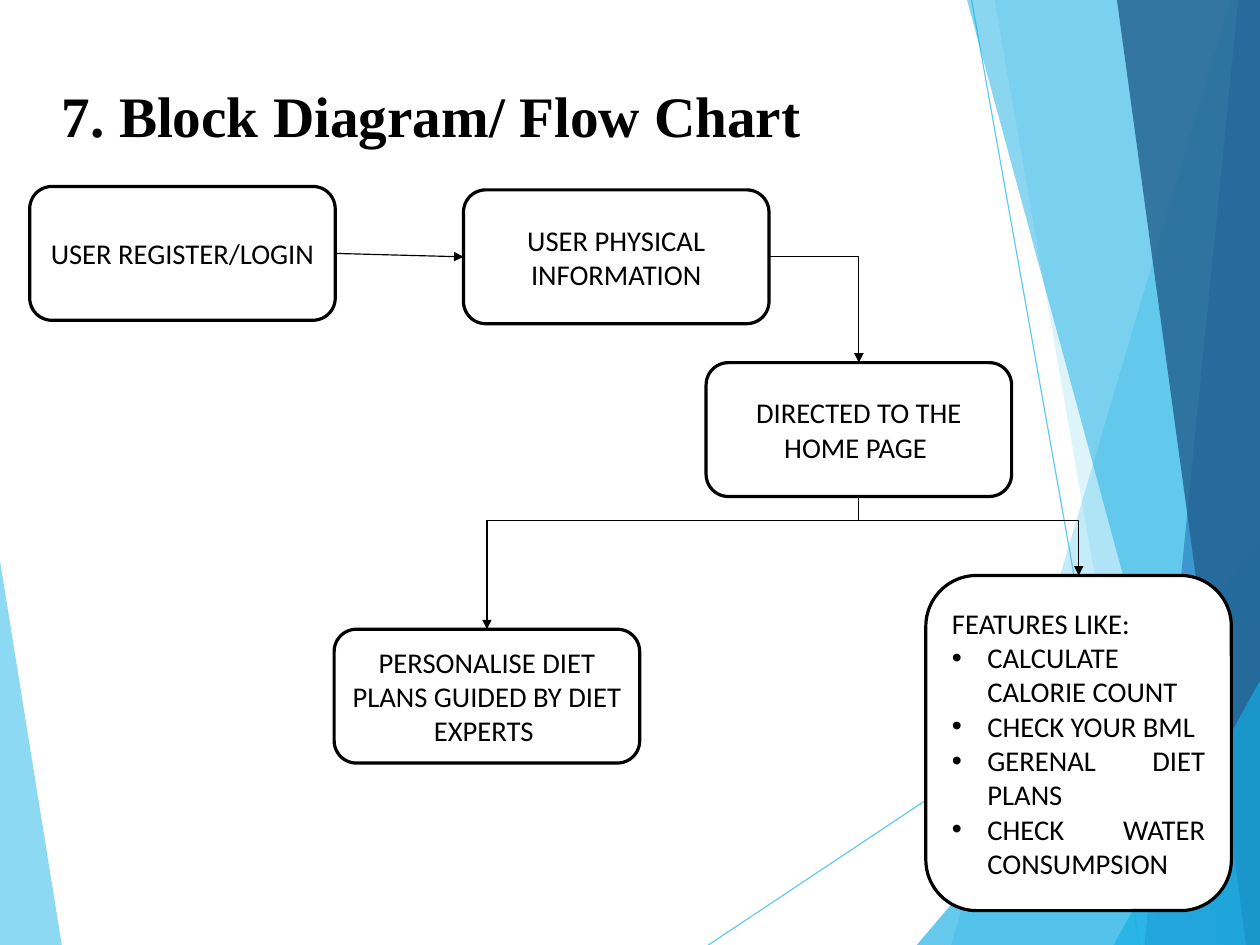
from lxml import etree
from pptx import Presentation
from pptx.dml.color import RGBColor
from pptx.enum.shapes import MSO_CONNECTOR, MSO_SHAPE
from pptx.enum.text import MSO_ANCHOR, PP_ALIGN
from pptx.oxml.ns import qn
from pptx.util import Inches, Pt

STRAIGHT, ELBOW = MSO_CONNECTOR.STRAIGHT, MSO_CONNECTOR.ELBOW
ROUNDED = MSO_SHAPE.ROUNDED_RECTANGLE
TOP, MIDDLE = MSO_ANCHOR.TOP, MSO_ANCHOR.MIDDLE
LEFT, CENTER, JUSTIFY = PP_ALIGN.LEFT, PP_ALIGN.CENTER, PP_ALIGN.JUSTIFY

BLACK = RGBColor(0x00, 0x00, 0x00)
WHITE = RGBColor(0xFF, 0xFF, 0xFF)
SKY = RGBColor(0x5E, 0xCA, 0xEF)
CYAN = RGBColor(0x17, 0xAF, 0xE4)
BLUE = RGBColor(0x2D, 0x83, 0xC3)
NAVY = RGBColor(0x23, 0x62, 0x91)

W, H = 11.01, 8.26
BOX_W, BOX_H = 2.67, 1.17
FORK_Y = 4.55

TITLE = "7. Block Diagram/ Flow Chart"
FACETS_BELOW_RAYS = [
    (SKY, 70, [(0.54, H), (0, H), (0, 4.9)]),
]
RAYS = [((6.19, H), (W, 5.05)), ((8.49, 0), (9.96, H))]
FACETS_ABOVE_RAYS = [
    (SKY, 36, [(W, H), (8.31, H), (10.75, 0), (W, 0)]),
    (SKY, 20, [(W, H), (10.13, H), (8.69, 0), (W, 0)]),
    (CYAN, 65, [(W, H), (8.01, H), (W, 4.74)]),
    (CYAN, 50, [(W, H), (10.69, H), (8.45, 0), (W, 0)]),
    (BLUE, 70, [(W, H), (10, H), (10.82, 0), (W, 0)]),
    (NAVY, 82, [(W, H), (10.89, H), (9.76, 0), (W, 0)]),
    (CYAN, 65, [(W, H), (9.73, H), (W, 5.95)]),
]
STEPS = {
    "login": (0.26, 1.63, BOX_H, ["USER REGISTER/LOGIN"]),
    "diet plans": (2.92, 5.5, BOX_H, ["PERSONALISE DIET PLANS GUIDED BY DIET EXPERTS "]),
    "features": (8.09, 5.03, 2.93, [
        "FEATURES LIKE:",
        "CALCULATE CALORIE COUNT",
        "CHECK YOUR BML",
        "GERENAL DIET PLANS",
        "CHECK WATER CONSUMPSION ",
    ]),
    "home": (6.17, 3.17, BOX_H, ["DIRECTED TO THE HOME PAGE "]),
    "physical": (4.05, 1.66, BOX_H, ["USER PHYSICAL INFORMATION"]),
}


def add_facet(slide, color, opacity, points):
    corners = [(Inches(x), Inches(y)) for x, y in points]
    builder = slide.shapes.build_freeform(*corners[0])
    builder.add_line_segments(corners[1:], close=True)
    facet = builder.convert_to_shape()
    facet.shadow.inherit = False
    facet.fill.solid()
    facet.fill.fore_color.rgb = color
    facet.line.fill.background()
    tint = facet._element.spPr.find(qn("a:solidFill"))[0]
    etree.SubElement(tint, qn("a:alpha")).set("val", str(opacity * 1000))


def add_line(slide, start, end, color=BLACK, kind=STRAIGHT, arrow=False):
    line = slide.shapes.add_connector(kind, *[Inches(v) for v in (*start, *end)])
    line.line.color.rgb = color
    line.line.width = Pt(0.75)
    properties = line._element.spPr
    if kind == ELBOW:
        properties.find(qn("a:prstGeom")).set("prst", "bentConnector2")
    if arrow:
        etree.SubElement(properties.find(qn("a:ln")), qn("a:tailEnd")).set("type", "triangle")
    etree.SubElement(properties, qn("a:effectLst"))
    return line


def add_bullet(paragraph):
    properties = paragraph._p.get_or_add_pPr()
    properties.set("marL", str(Inches(0.31)))
    properties.set("indent", str(-Inches(0.31)))
    etree.SubElement(properties, qn("a:buFont")).set("typeface", "Arial")
    etree.SubElement(properties, qn("a:buChar")).set("char", "•")


def add_step(slide, left, top, height, lines):
    step = slide.shapes.add_shape(
        ROUNDED, Inches(left), Inches(top), Inches(BOX_W), Inches(height))
    step.shadow.inherit = False
    step.fill.solid()
    step.fill.fore_color.rgb = WHITE
    step.line.color.rgb = BLACK
    step.line.width = Pt(2)
    frame = step.text_frame
    frame.word_wrap = True
    frame.vertical_anchor = MIDDLE
    frame.text = "\n".join(lines)
    for number, paragraph in enumerate(frame.paragraphs):
        paragraph.alignment = JUSTIFY if len(lines) > 1 else CENTER
        font = paragraph.runs[0].font
        font.name, font.size, font.color.rgb = "Calibri", Pt(18), BLACK
        if number:
            add_bullet(paragraph)
    return step


def add_title(slide):
    title = slide.shapes.title
    title.left, title.top = Inches(0.54), Inches(0.69)
    title.width, title.height = Inches(6.48), Inches(0.63)
    frame = title.text_frame
    frame.text = TITLE
    frame.word_wrap = True
    frame.vertical_anchor = TOP
    frame.margin_left = frame.margin_right = frame.margin_bottom = 0
    frame.margin_top = Inches(0.01)
    heading = frame.paragraphs[0]
    heading.alignment = LEFT
    heading.space_before = Pt(1)
    font = heading.runs[0].font
    font.name, font.size, font.bold = "Times New Roman", Pt(36), True
    font.color.rgb = BLACK


def top_middle(key):
    left, top, _, _ = STEPS[key]
    return left + BOX_W / 2, top


def main():
    deck = Presentation()
    deck.slide_width, deck.slide_height = Inches(W), Inches(H)
    slide = deck.slides.add_slide(deck.slide_layouts[5])

    for facet in FACETS_BELOW_RAYS:
        add_facet(slide, *facet)
    for start, end in RAYS:
        add_line(slide, start, end, SKY)
    for facet in FACETS_ABOVE_RAYS:
        add_facet(slide, *facet)
    add_title(slide)

    steps = {key: add_step(slide, *step) for key, step in STEPS.items()}

    physical_left, physical_top, _, _ = STEPS["physical"]
    physical_y = physical_top + BOX_H / 2
    home_x, home_top = top_middle("home")
    fork = (home_x, FORK_Y)

    entry = add_line(slide, (2.93, 2.22), (physical_left, physical_y), arrow=True)
    entry.begin_connect(steps["login"], 3)
    entry.end_connect(steps["physical"], 1)
    add_line(slide, (physical_left + BOX_W, physical_y), (home_x, home_top),
             kind=ELBOW, arrow=True)
    stem = add_line(slide, (home_x, home_top + BOX_H), fork)
    stem.begin_connect(steps["home"], 2)
    for branch in ("features", "diet plans"):
        add_line(slide, fork, top_middle(branch), kind=ELBOW, arrow=True)

    deck.save("out.pptx")


if __name__ == "__main__":
    main()
